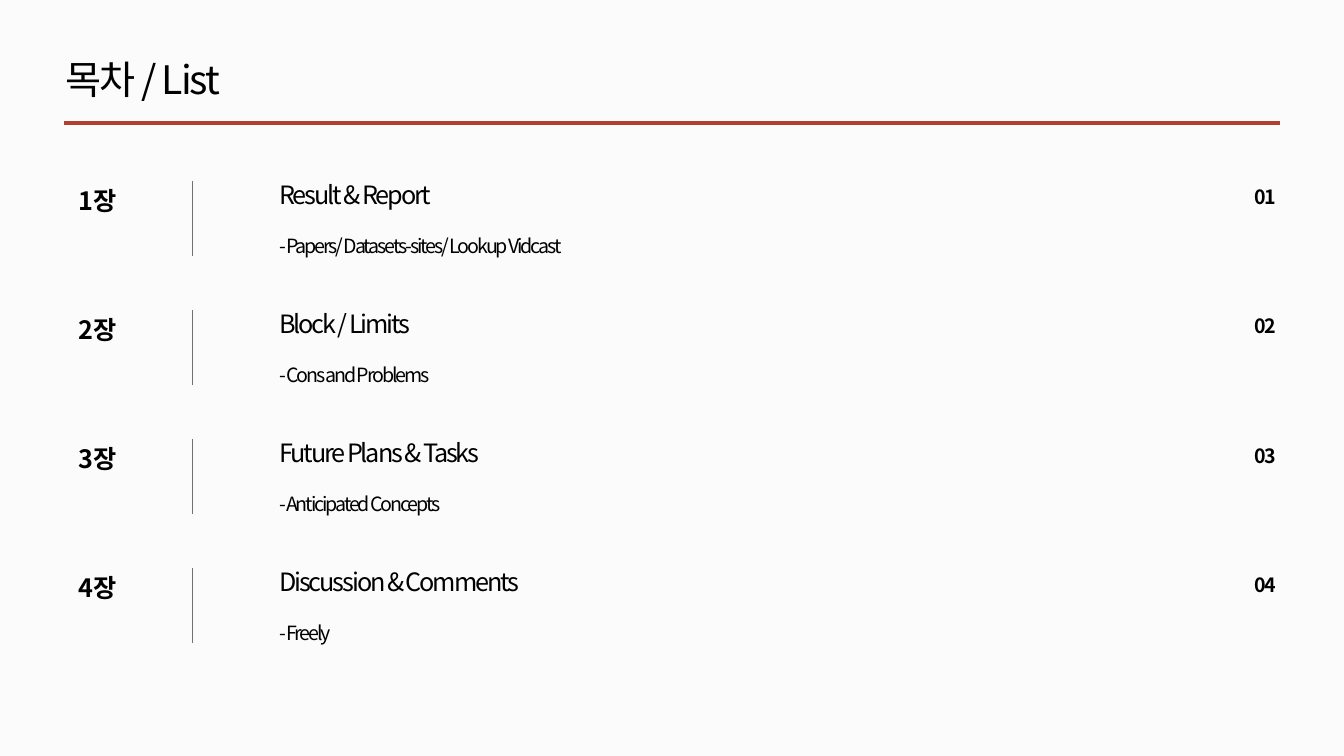
from dataclasses import dataclass

from lxml.etree import SubElement
from pptx import Presentation
from pptx.dml.color import RGBColor
from pptx.enum.shapes import MSO_CONNECTOR
from pptx.enum.text import MSO_AUTO_SIZE, PP_ALIGN
from pptx.oxml.ns import qn
from pptx.util import Inches, Pt

TITLE = "목차 / List"
CHAPTERS = [
    ("1장", "Result & Report", "- Papers/ Datasets-sites/ Lookup Vidcast", "01"),
    ("2장", "Block / Limits", "- Cons and Problems", "02"),
    ("3장", "Future Plans & Tasks", "- Anticipated Concepts", "03"),
    ("4장", "Discussion & Comments", "- Freely", "04"),
]


@dataclass(frozen=True)
class Theme:
    font: str = "Noto Sans CJK KR"
    background: str = "FBFBFB"
    text: str = "000000"
    accent: str = "B14031"
    divider: str = "767171"
    title: int = 28
    heading: int = 18
    detail: int = 14
    spacing: int = -150


THEME = Theme()
WIDTH, HEIGHT = 13.33, 7.5
FIRST_ROW, ROW_STEP = 1.73, 1.28
CHAPTER_LEFT, DIVIDER_LEFT, TOPIC_LEFT, PAGE_LEFT = 0.68, 1.91, 2.67, 11.2
HEADING_HEIGHT, DETAIL_HEIGHT = 0.4, 0.34


def add_text(shapes, text, left, top, width, height, size, bold=False, align=PP_ALIGN.LEFT):
    box = shapes.add_textbox(Inches(left), Inches(top), Inches(width), Inches(height))
    frame = box.text_frame
    frame.word_wrap = True
    frame.auto_size = MSO_AUTO_SIZE.SHAPE_TO_FIT_TEXT
    paragraph = frame.paragraphs[0]
    paragraph.alignment = align
    run = paragraph.add_run()
    run.text = text
    font = paragraph.font
    font.name = THEME.font
    font.size = Pt(size)
    font.bold = bold
    font.color.rgb = RGBColor.from_string(THEME.text)
    defaults = paragraph._p.pPr.find(qn("a:defRPr"))
    defaults.set("spc", str(THEME.spacing))
    SubElement(defaults, qn("a:ea")).set("typeface", THEME.font)
    properties = run._r.get_or_add_rPr()
    properties.set("spc", str(THEME.spacing))
    SubElement(properties, qn("a:ea")).set("typeface", THEME.font)


def add_line(shapes, start, end, color, weight):
    line = shapes.add_connector(MSO_CONNECTOR.STRAIGHT, *map(Inches, start + end))
    line.line.color.rgb = RGBColor.from_string(color)
    line.line.width = Pt(weight)
    SubElement(line._element.spPr, qn("a:effectLst"))


def add_chapter(slide, row, chapter, heading, detail, page):
    top = FIRST_ROW + row * ROW_STEP
    shapes = slide.shapes.add_group_shape().shapes
    add_text(shapes, chapter, CHAPTER_LEFT, top + 0.06, 3.58, HEADING_HEIGHT, THEME.heading, bold=True)
    add_text(shapes, heading, TOPIC_LEFT, top, 3.58, HEADING_HEIGHT, THEME.heading)
    add_text(shapes, detail, TOPIC_LEFT, top + 0.54, 8.66, DETAIL_HEIGHT, THEME.detail)
    add_text(shapes, page, PAGE_LEFT, top + 0.06, 1.55, DETAIL_HEIGHT, THEME.detail,
             bold=True, align=PP_ALIGN.RIGHT)
    add_line(shapes, (DIVIDER_LEFT, top + 0.07), (DIVIDER_LEFT, top + 0.81), THEME.divider, 0.5)


def main():
    presentation = Presentation()
    presentation.slide_width = Inches(WIDTH)
    presentation.slide_height = Inches(HEIGHT)
    slide = presentation.slides.add_slide(presentation.slide_layouts[6])
    fill = slide.background.fill
    fill.solid()
    fill.fore_color.rgb = RGBColor.from_string(THEME.background)

    add_text(slide.shapes, TITLE, 0.55, 0.5, 9.79, 0.57, THEME.title)
    add_line(slide.shapes, (0.63, 1.22), (12.7, 1.22), THEME.accent, 3)
    for row, entry in enumerate(CHAPTERS):
        add_chapter(slide, row, *entry)
    presentation.save("out.pptx")


if __name__ == "__main__":
    main()
